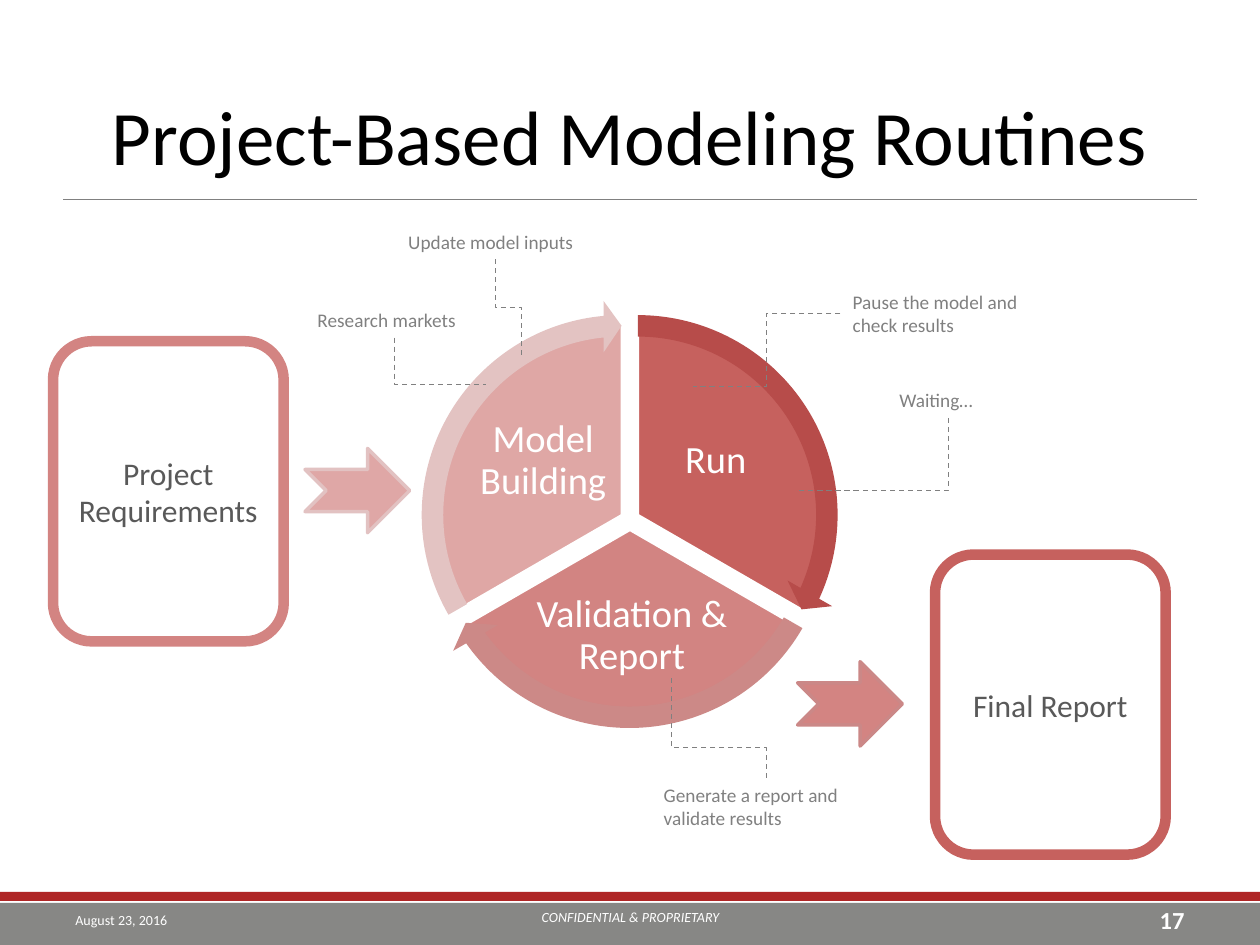
"""Build the slide on project-based modeling routines."""
import dataclasses

import pptx
import pptx.dml.color
import pptx.enum.dml
import pptx.enum.shapes
import pptx.enum.text
import pptx.oxml
import pptx.oxml.ns
import pptx.util
from lxml import etree
from pptx.util import Cm

SHAPE = pptx.enum.shapes.MSO_SHAPE
CONNECTOR = pptx.enum.shapes.MSO_CONNECTOR
ALIGN = pptx.enum.text.PP_ALIGN
ANCHOR = pptx.enum.text.MSO_ANCHOR
qn = pptx.oxml.ns.qn
rgb = pptx.dml.color.RGBColor.from_string


@dataclasses.dataclass(frozen=True)
class Theme:
    font: str = "Calibri"
    black: str = "000000"
    white: str = "FFFFFF"
    gray: str = "808080"
    dark_gray: str = "595959"
    footer_gray: str = "878785"
    footer_red: str = "AF2626"
    red: str = "C0504D"
    run: str = "C6615E"
    run_arc: str = "B74C4A"
    report: str = "D38482"
    report_arc: str = "CC8987"
    report_edge: str = "CB8887"
    building: str = "DFA7A6"
    building_arc: str = "E3C3C2"
    building_edge: str = "E2C2C2"
    title_size: int = 44
    phase_size: int = 22
    box_size: int = 18
    number_size: int = 14
    note_size: int = 11
    footer_size: int = 8


theme = Theme()


def write(holder, text, size, color, align=ALIGN.CENTER, anchor=ANCHOR.MIDDLE,
          inset=None, spacing=None, **emphasis):
    frame = holder.text_frame
    frame.text = text
    frame_format = {"word_wrap": True, "vertical_anchor": anchor}
    if inset is not None:
        for side in ("left", "right", "top", "bottom"):
            frame_format[f"margin_{side}"] = inset
    paragraph = frame.paragraphs[0]
    font = paragraph.runs[0].font
    font.color.rgb = rgb(color)
    for target, values in (
        (frame, frame_format),
        (paragraph, {"alignment": align, "line_spacing": spacing}),
        (font, {"name": theme.font, "size": pptx.util.Pt(size), **emphasis}),
    ):
        for name, value in values.items():
            setattr(target, name, value)


def draw(kind, box, fill, edge=None, edge_width=0, adjustments=(), opacity=None):
    shape = slide.shapes.add_shape(kind, *map(Cm, box))
    shape.shadow.inherit = False
    shape.fill.solid()
    shape.fill.fore_color.rgb = rgb(fill)
    if opacity:
        color = shape._element.spPr.find(qn("a:solidFill"))[0]
        etree.SubElement(color, qn("a:alpha")).set("val", str(opacity * 1000))
    if edge:
        shape.line.color.rgb = rgb(edge)
        shape.line.width = pptx.util.Pt(edge_width)
    else:
        shape.line.fill.background()
    for index, value in enumerate(adjustments):
        shape.adjustments[index] = value
    return shape


deck = pptx.Presentation()
deck.slide_width, deck.slide_height = Cm(25.4), Cm(19.05)
slide = deck.slides.add_slide(deck.slide_layouts[5])

draw(SHAPE.RECTANGLE, (0, 17.98, 25.4, 0.18), theme.footer_red)
draw(SHAPE.RECTANGLE, (0, 18.2, 25.4, 0.85), theme.footer_gray)

title = slide.shapes.title
for side, length in {"left": 1.27, "top": 1.52, "width": 22.86, "height": 2.41}.items():
    setattr(title, side, Cm(length))
write(title, "Project-Based Modeling Routines", theme.title_size, theme.black)

phases = [
    ("Run", (8.99, 6.53), (162, 18), 90, (13.06, 8.15, 2.74, 2.29)),
    ("Validation & Report", (8.84, 6.81), (18, 90), 70, (10.67, 11.81, 4.14, 2.03)),
    ("Model Building", (8.69, 6.53), (90, 162), 50, (9.58, 8.15, 2.74, 2.29)),
]
for phase, corner, angles, opacity, label_box in phases:
    draw(SHAPE.PIE, (*corner, 7.72, 7.72), theme.red, theme.white, 2, angles, opacity)
    label = slide.shapes.add_textbox(*map(Cm, label_box))
    write(label, phase, theme.phase_size, theme.white, inset=Cm(0.07), spacing=0.9)

cycle_arcs = [
    ((8.53, 6.05), theme.run_arc, 14.72, 161.99),
    ((8.36, 6.32), theme.report_arc, 86.72, 18),
    ((8.2, 6.05), theme.building_arc, 158.73, 90),
]
for corner, color, head_angle, tail_angle in cycle_arcs:
    draw(SHAPE.CIRCULAR_ARROW, (*corner, 8.66, 8.66), color,
         adjustments=(0.05, 3.28, head_angle, tail_angle, 0.06))

footer = [
    ("17", (18.21, 18.03, 5.92, 1.02), theme.number_size, ALIGN.RIGHT, {"bold": True}),
    ("CONFIDENTIAL & PROPRIETARY", (8.69, 17.98, 8.05, 1.02), theme.footer_size,
     ALIGN.CENTER, {"italic": True}),
    ("August 23, 2016", (1.27, 18.03, 5.92, 1.02), theme.footer_size, ALIGN.LEFT, {}),
]
for text, box, size, align, emphasis in footer:
    entry = slide.shapes.add_textbox(*map(Cm, box))
    write(entry, text, size, theme.white, align, **emphasis)

for corner, fill, edge in [
    ((6.15, 9.04), theme.building, theme.building_edge),
    ((16.08, 13.34), theme.report, theme.report_edge),
]:
    draw(SHAPE.NOTCHED_RIGHT_ARROW, (*corner, 2.11, 1.7), fill, edge, 2)

for text, corner, edge in [
    ("Project Requirements", (1.07, 6.88), theme.report),
    ("Final Report", (18.85, 11.18), theme.run),
]:
    document = draw(SHAPE.ROUNDED_RECTANGLE, (*corner, 4.65, 6.05), theme.white, edge, 6)
    write(document, text, theme.box_size, theme.dark_gray)

notes = [
    ("Update model inputs", (7.98, 4.52, 4.01, 0.74)),
    ("Research markets", (6.15, 6.1, 3.61, 0.74)),
    ("Waiting…", (17.88, 7.7, 2.44, 0.74)),
    ("Pause the model and check results", (16.94, 5.72, 4.65, 1.19)),
    ("Generate a report and validate results", (13.13, 15.67, 4.65, 1.19)),
]
for text, box in notes:
    note = slide.shapes.add_textbox(*map(Cm, box))
    write(note, text, theme.note_size, theme.gray, ALIGN.LEFT, ANCHOR.TOP)

rule_and_leaders = [
    (CONNECTOR.STRAIGHT, (1.27, 4.02, 24.13, 4.02), 0, "line", None),
    (CONNECTOR.ELBOW, (11.23, 5.94, 9.27, 6.47), 270, "bentConnector3", 50),
    (CONNECTOR.ELBOW, (9.35, 6.35, 8.41, 8.2), 270, "bentConnector2", None),
    (CONNECTOR.ELBOW, (16.87, 7.65, 18.34, 10.67), 90, "bentConnector2", None),
    (CONNECTOR.ELBOW, (13.97, 7.79, 16.94, 6.32), 180, "bentConnector3", 50),
    (CONNECTOR.ELBOW, (13.49, 15.63, 15.5, 13.72), 270, "bentConnector3", 30),
]
for kind, ends, turn, geometry, bend in rule_and_leaders:
    leader = slide.shapes.add_connector(kind, *map(Cm, ends))
    leader.line.color.rgb = rgb(theme.gray)
    leader.line.width = pptx.util.Pt(0.5 if kind == CONNECTOR.STRAIGHT else 0.75)
    properties = leader._element.spPr
    if kind == CONNECTOR.ELBOW:
        leader.line.dash_style = pptx.enum.dml.MSO_LINE.DASH
        properties.find(qn("a:xfrm")).set("rot", str(turn * 60000))
    outline = properties.find(qn("a:prstGeom"))
    outline.set("prst", geometry)
    if bend:
        guide = etree.SubElement(outline.find(qn("a:avLst")), qn("a:gd"))
        guide.set("name", "adj1")
        guide.set("fmla", f"val {bend * 1000}")
    etree.SubElement(properties, qn("a:effectLst"))

deck.save("out.pptx")
